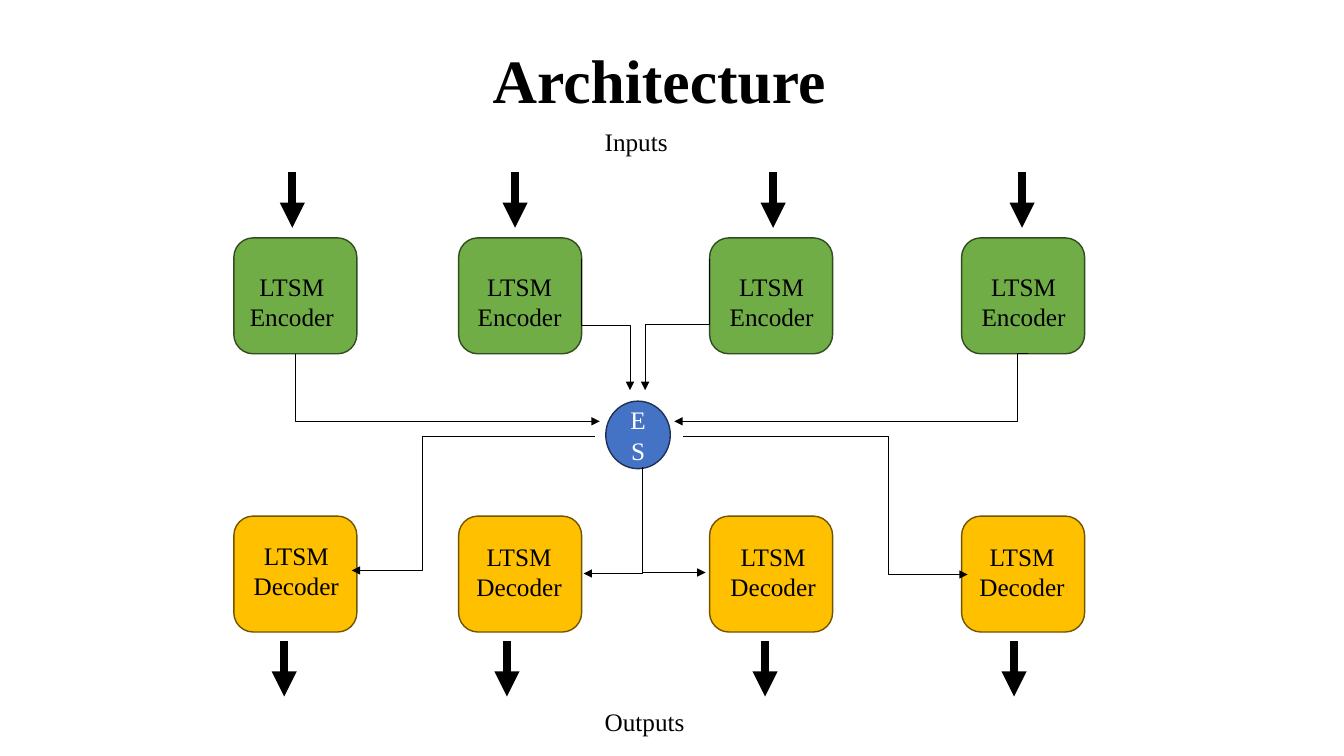
import dataclasses
import typing

import lxml.etree
import pptx
import pptx.dml.color
import pptx.enum.shapes
import pptx.enum.text
import pptx.oxml.ns
import pptx.util

COLORS = {
    "black": "000000",
    "white": "FFFFFF",
    "green": "70AD47",
    "green edge": "314C1F",
    "amber": "FFC000",
    "amber edge": "705400",
    "blue": "4472C4",
    "blue edge": "1E3256",
}
FONT = "Times New Roman"

deck = pptx.Presentation()
deck.slide_width = pptx.util.Inches(13.333)
deck.slide_height = pptx.util.Inches(7.5)
page = deck.slides.add_slide(deck.slide_layouts[6])
COLUMN = deck.slide_width / 160
ROW = deck.slide_height / 90

Shape = pptx.enum.shapes.MSO_SHAPE
Connector = pptx.enum.shapes.MSO_CONNECTOR
Align = pptx.enum.text.PP_ALIGN
Anchor = pptx.enum.text.MSO_ANCHOR
Point = tuple[float, float]


@dataclasses.dataclass
class Area:
    column: float
    row: float
    columns: float
    rows: float

    def lengths(self) -> tuple[int, int, int, int]:
        return (round(self.column * COLUMN), round(self.row * ROW),
                round(self.columns * COLUMN), round(self.rows * ROW))


@dataclasses.dataclass
class Layer:
    text: str
    fill: str
    row: float
    label_columns: float
    labels: list[Point]
    arrow_row: float
    arrow_shift: float


@dataclasses.dataclass
class Elbow:
    start: Point
    end: Point
    downward: bool = False
    bend: typing.Optional[float] = None


BOX_COLUMNS = [27.84, 54.6, 84.48, 114.48]
ARROW_COLUMNS = [34.8, 61.32, 92.04, 121.68]
ARROW_ROWS = 6.6

LAYERS = [
    Layer("LTSM Encoder", "green", 28.32, 13.32,
          [(28.08, 31.68), (55.2, 31.68), (85.2, 31.68), (115.2, 31.68)], 20.52, 0),
    Layer("LTSM Decoder", "amber", 61.44, 14.4,
          [(28.08, 63.72), (54.6, 63.84), (84.84, 63.84), (114.48, 63.84)], 76.32, -0.96),
]

ELBOWS = [
    Elbow((35.16, 42.12), (71.4, 50.16), downward=True),
    Elbow((69.24, 30.84), (75, 46.44), downward=True, bend=0.51),
    Elbow((84.48, 30.84), (76.8, 46.44), downward=True, bend=0.5),
    Elbow((122.4, 42.12), (80.28, 50.16), bend=0.03),
    Elbow((70.8, 51.96), (41.88, 67.92), bend=0.71),
    Elbow((81.36, 51.96), (115.2, 68.4), bend=0.72),
    Elbow((76.44, 55.56), (69.48, 68.28), downward=True),
]


def color(name: str) -> pptx.dml.color.RGBColor:
    return pptx.dml.color.RGBColor.from_string(COLORS[name])


def write(box, text: str, *, size: float = 18, ink: str = "black", bold: bool = False,
          align=Align.CENTER, anchor=Anchor.TOP, spacing: float = 1.0) -> None:
    frame = box.text_frame
    frame.word_wrap = True
    frame.vertical_anchor = anchor
    para = frame.paragraphs[0]
    para.alignment = align
    para.line_spacing = spacing
    span = para.add_run()
    span.text = text
    span.font.name = FONT
    span.font.size = pptx.util.Pt(size)
    span.font.bold = bold
    span.font.color.rgb = color(ink)


def add_text(area: Area, text: str, **style) -> None:
    write(page.shapes.add_textbox(*area.lengths()), text, **style)


def add_node(kind, area: Area, fill: str):
    node = page.shapes.add_shape(kind, *area.lengths())
    node.shadow.inherit = False
    node.fill.solid()
    node.fill.fore_color.rgb = color(fill)
    node.line.color.rgb = color(fill + " edge")
    node.line.width = pptx.util.Pt(1)
    return node


def add_arrow(start: Point, end: Point, width: float, kind=Connector.STRAIGHT):
    arrow = page.shapes.add_connector(
        kind, round(start[0] * COLUMN), round(start[1] * ROW),
        round(end[0] * COLUMN), round(end[1] * ROW))
    arrow.line.color.rgb = color("black")
    arrow.line.width = pptx.util.Pt(width)
    qn = pptx.oxml.ns.qn
    properties = arrow._element.spPr
    lxml.etree.SubElement(properties.find(qn("a:ln")), qn("a:tailEnd"), type="triangle")
    lxml.etree.SubElement(properties, qn("a:effectLst"))
    return arrow


def add_elbow(elbow: Elbow) -> None:
    start, end = elbow.start, elbow.end
    if elbow.downward:
        middle_x, middle_y = (start[0] + end[0]) / 2, (start[1] + end[1]) / 2
        half_x, half_y = (end[0] - start[0]) / 2, (end[1] - start[1]) / 2
        start = (middle_x - half_y, middle_y + half_x)
        end = (middle_x + half_y, middle_y - half_x)
    arrow = add_arrow(start, end, 0.5, Connector.ELBOW)
    qn = pptx.oxml.ns.qn
    properties = arrow._element.spPr
    if elbow.downward:
        properties.find(qn("a:xfrm")).set("rot", str(90 * 60000))
    geometry = properties.find(qn("a:prstGeom"))
    if elbow.bend is None:
        geometry.set("prst", "bentConnector2")
    else:
        lxml.etree.SubElement(geometry.find(qn("a:avLst")), qn("a:gd"),
                              name="adj1", fmla=f"val {round(elbow.bend * 100000)}")


def add_layer(layer: Layer) -> None:
    for box_column, label, arrow_column in zip(BOX_COLUMNS, layer.labels, ARROW_COLUMNS):
        add_node(Shape.ROUNDED_RECTANGLE, Area(box_column, layer.row, 14.64, 13.8), layer.fill)
        add_text(Area(*label, layer.label_columns, 8.52), layer.text)
        column = arrow_column + layer.arrow_shift
        add_arrow((column, layer.arrow_row), (column, layer.arrow_row + ARROW_ROWS), 6)


def main() -> None:
    add_text(Area(9.48, 1.2, 138, 17.4), "Architecture", size=44, bold=True,
             anchor=Anchor.MIDDLE, spacing=0.9)
    add_text(Area(70.8, 14.4, 11.04, 4.8), "Inputs", align=Align.LEFT)
    add_text(Area(70.8, 83.52, 14.64, 4.8), "Outputs", align=Align.LEFT)
    for layer in LAYERS:
        add_layer(layer)
    state = add_node(Shape.OVAL, Area(72.12, 47.76, 7.68, 8.04), "blue")
    write(state, "ES", ink="white", anchor=Anchor.MIDDLE)
    for elbow in ELBOWS:
        add_elbow(elbow)
    add_arrow((76.56, 68.16), (84, 68.16), 0.5)
    deck.save("out.pptx")


if __name__ == "__main__":
    main()
